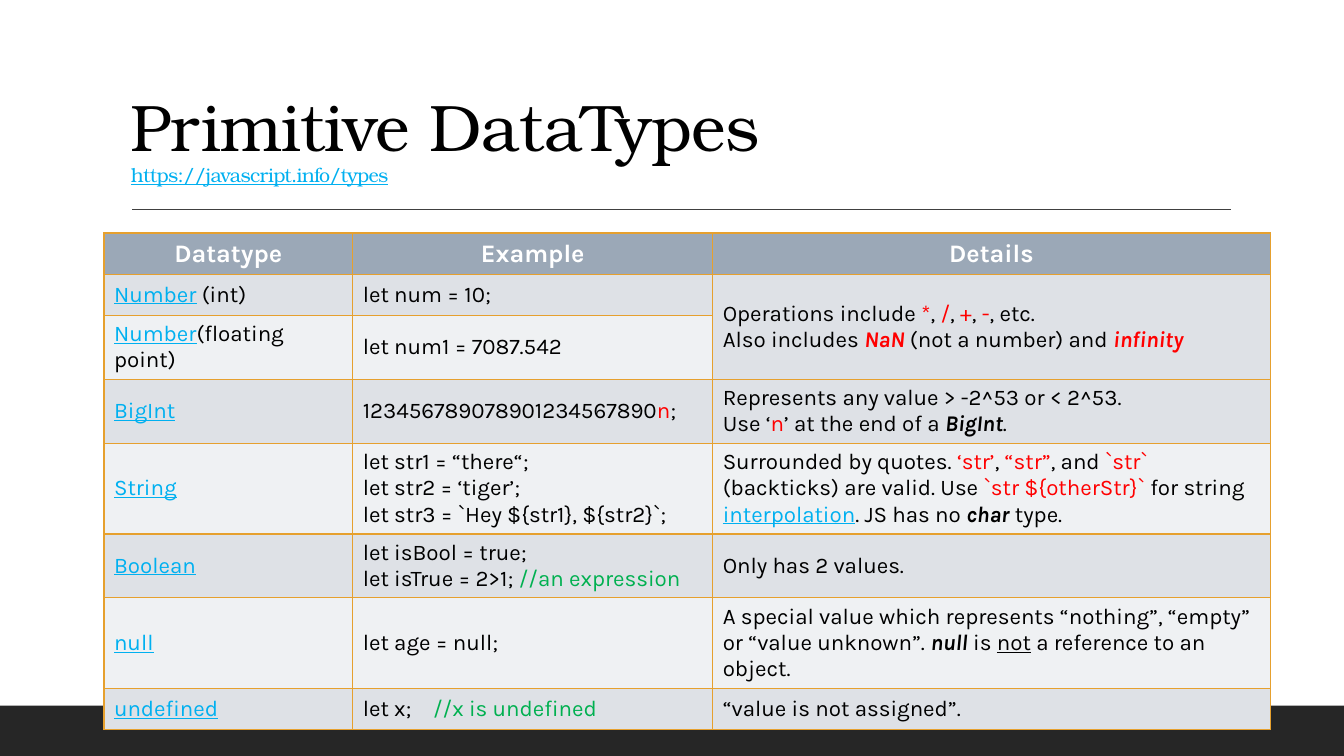
from dataclasses import dataclass

from lxml import etree
from pptx import Presentation
from pptx import util as u
from pptx.dml.color import RGBColor
from pptx.enum import shapes, text
from pptx.oxml import ns

BODY_FONT, TITLE_FONT = "Karla", "TeX Gyre Bonum"
BLACK, WHITE, LINK, BORDER = "000000", "FFFFFF", "00B0F0", "E6A02E"
HEADER_FILL, BAND_FILLS = "9BA8B7", ("DEE1E6", "EFF1F3")
ROW_HEIGHT = 1.04


@dataclass(frozen=True)
class Style:
    color: str = BLACK
    size: float = 16
    bold: bool = False
    italic: bool = False
    underline: bool = False
    name: str = BODY_FONT


PLAIN = Style()
HEAD = Style(WHITE, 18, bold=True)
URL = Style(LINK, underline=True)
RED = Style("FF0000")
RED_TERM = Style("FF0000", bold=True, italic=True)
TERM = Style(bold=True, italic=True)
UNDER = Style(underline=True)
COMMENT = Style("00B050")


@dataclass(frozen=True)
class Run:
    text: str
    style: Style = PLAIN


Lines = list[list[Run]]


@dataclass(frozen=True)
class Datatype:
    name: list[Run]
    example: Lines
    details: Lines


def rgb(color: str) -> RGBColor:
    return RGBColor.from_string(color)


def style_run(r, style: Style) -> None:
    r.font.name = style.name
    r.font.size = u.Pt(style.size)
    r.font.bold = style.bold
    r.font.italic = style.italic
    r.font.underline = style.underline
    r.font.color.rgb = rgb(style.color)


def add_tab_stop(p, position: u.Length) -> None:
    tabs = etree.SubElement(p._p.get_or_add_pPr(), ns.qn("a:tabLst"))
    etree.SubElement(tabs, ns.qn("a:tab"), pos=str(int(position)), algn="l")


def set_borders(cell) -> None:
    tc_pr = cell._tc.get_or_add_tcPr()
    for side in ("lnL", "lnR", "lnT", "lnB"):
        ln = etree.SubElement(tc_pr, ns.qn(f"a:{side}"), w=str(int(u.Pt(1))))
        fill = etree.SubElement(ln, ns.qn("a:solidFill"))
        etree.SubElement(fill, ns.qn("a:srgbClr"), val=BORDER)


def fill_cell(cell, lines: Lines, fill: str, align=text.PP_ALIGN.LEFT) -> None:
    set_borders(cell)
    cell.fill.solid()
    cell.fill.fore_color.rgb = rgb(fill)
    cell.vertical_anchor = text.MSO_ANCHOR.MIDDLE
    tf = cell.text_frame
    for i, line in enumerate(lines):
        p = tf.add_paragraph() if i else tf.paragraphs[0]
        p.alignment = align
        if any("\t" in run.text for run in line):
            add_tab_stop(p, u.Cm(1.77))
        for run in line:
            r = p.add_run()
            r.text = run.text
            style_run(r, run.style)


DATATYPES = [
    Datatype(
        [Run("Number", URL), Run(" (int)")],
        [[Run("let num = 10;")]],
        [[Run("Operations include "), Run("*", RED), Run(", "), Run("/", RED), Run(", "),
          Run("+", RED), Run(", "), Run("-", RED), Run(", etc.")],
         [Run("Also includes "), Run("NaN ", RED_TERM), Run("(not a number) and "),
          Run("infinity", RED_TERM)]]),
    Datatype(
        [Run("Number", URL), Run("(floating point)")],
        [[Run("let num1 = 7087.542")]],
        []),
    Datatype(
        [Run("BigInt", URL)],
        [[Run("123456789078901234567890"), Run("n", RED), Run(";")]],
        [[Run("Represents any value > -2^53 or < 2^53.")],
         [Run("Use ‘"), Run("n", RED), Run("’ at the end of a "), Run("BigInt", TERM), Run(".")]]),
    Datatype(
        [Run("String", URL)],
        [[Run("let str1 = “there“;")],
         [Run("let str2 = ‘tiger’;")],
         [Run("let str3 = `Hey ${str1}, ${str2}`;")]],
        [[Run("Surrounded by quotes. "), Run("‘str’", RED), Run(", "), Run("“str”", RED),
          Run(", and "), Run("`str`", RED), Run(" (backticks) are valid. Use "),
          Run("`str ${otherStr}`", RED), Run(" for string "), Run("interpolation", URL),
          Run(". JS has no "), Run("char", TERM), Run(" type.")]]),
    Datatype(
        [Run("Boolean", URL)],
        [[Run("let isBool = true;")],
         [Run("let isTrue = 2>1; "), Run("//an expression", COMMENT)]],
        [[Run("Only has 2 values.")]]),
    Datatype(
        [Run("null", URL)],
        [[Run("let age = null;")]],
        [[Run("A special value which represents “nothing”, “empty” or “value unknown”. "),
          Run("null", TERM), Run(" is "), Run("not", UNDER), Run(" a reference to an object.")]]),
    Datatype(
        [Run("undefined", URL)],
        [[Run("let x;\t"), Run("//x is undefined", COMMENT)]],
        [[Run("“value is not assigned”.")]]),
]


def add_footer_and_rule(s) -> None:
    bar = s.shapes.add_shape(shapes.MSO_SHAPE.RECTANGLE, 0, u.Cm(17.78), u.Cm(33.87), u.Cm(1.27))
    bar.shadow.inherit = False
    bar.fill.solid()
    bar.fill.fore_color.rgb = rgb("262626")
    bar.line.fill.background()
    rule = s.shapes.add_connector(
        shapes.MSO_CONNECTOR.STRAIGHT, u.Cm(3.33), u.Cm(5.28), u.Cm(31.01), u.Cm(5.28))
    rule.line.color.rgb = rgb("404040")
    rule.line.width = u.Pt(1)
    etree.SubElement(rule._element.spPr, ns.qn("a:effectLst"))


def add_title(s) -> None:
    sp = s.shapes.add_textbox(u.Cm(3.05), u.Cm(0.79), u.Cm(27.94), u.Cm(4.04))
    tf = sp.text_frame
    tf.word_wrap = True
    tf.vertical_anchor = text.MSO_ANCHOR.BOTTOM
    p = tf.paragraphs[0]
    p.text = "Primitive DataTypes\vhttps://javascript.info/types"
    p.line_spacing = 0.9
    styles = (Style(size=47, name=TITLE_FONT), Style(LINK, 14, underline=True, name=TITLE_FONT))
    for r, style in zip(p.runs, styles):
        style_run(r, style)
        r.font._element.set("spc", "-50")


def add_datatype_table(s) -> None:
    frame = s.shapes.add_table(
        len(DATATYPES) + 1, 3, u.Cm(2.62), u.Cm(5.87), u.Cm(29.39), u.Cm(11.23))
    table = frame.table
    table.first_row = table.horz_banding = False
    for column, width in zip(table.columns, (6.27, 9.07, 14.05)):
        column.width = u.Cm(width)
    for row in table.rows:
        row.height = u.Cm(ROW_HEIGHT)
    table.rows[3].height = u.Cm(1.57)

    # Both number types share one details cell
    table.cell(1, 2).merge(table.cell(2, 2))
    for col, heading in enumerate(("Datatype", "Example", "Details")):
        fill_cell(table.cell(0, col), [[Run(heading, HEAD)]], HEADER_FILL, text.PP_ALIGN.CENTER)
    for row, item in enumerate(DATATYPES, start=1):
        for col, lines in enumerate(([item.name], item.example, item.details)):
            fill_cell(table.cell(row, col), lines, BAND_FILLS[(row - 1) % 2])


def main() -> None:
    prs = Presentation()
    prs.slide_width, prs.slide_height = u.Cm(33.87), u.Cm(19.05)
    s = prs.slides.add_slide(prs.slide_layouts[6])
    add_footer_and_rule(s)
    add_title(s)
    add_datatype_table(s)
    prs.save("out.pptx")


if __name__ == "__main__":
    main()
